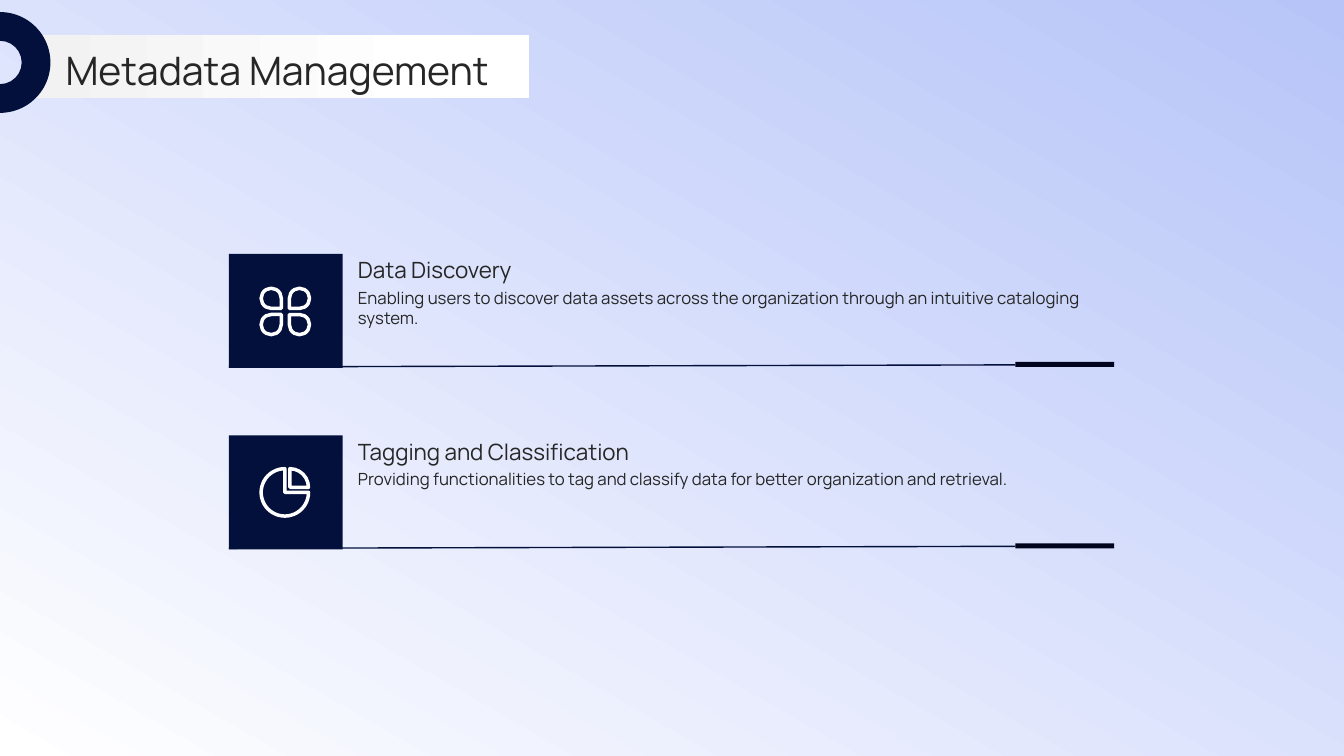
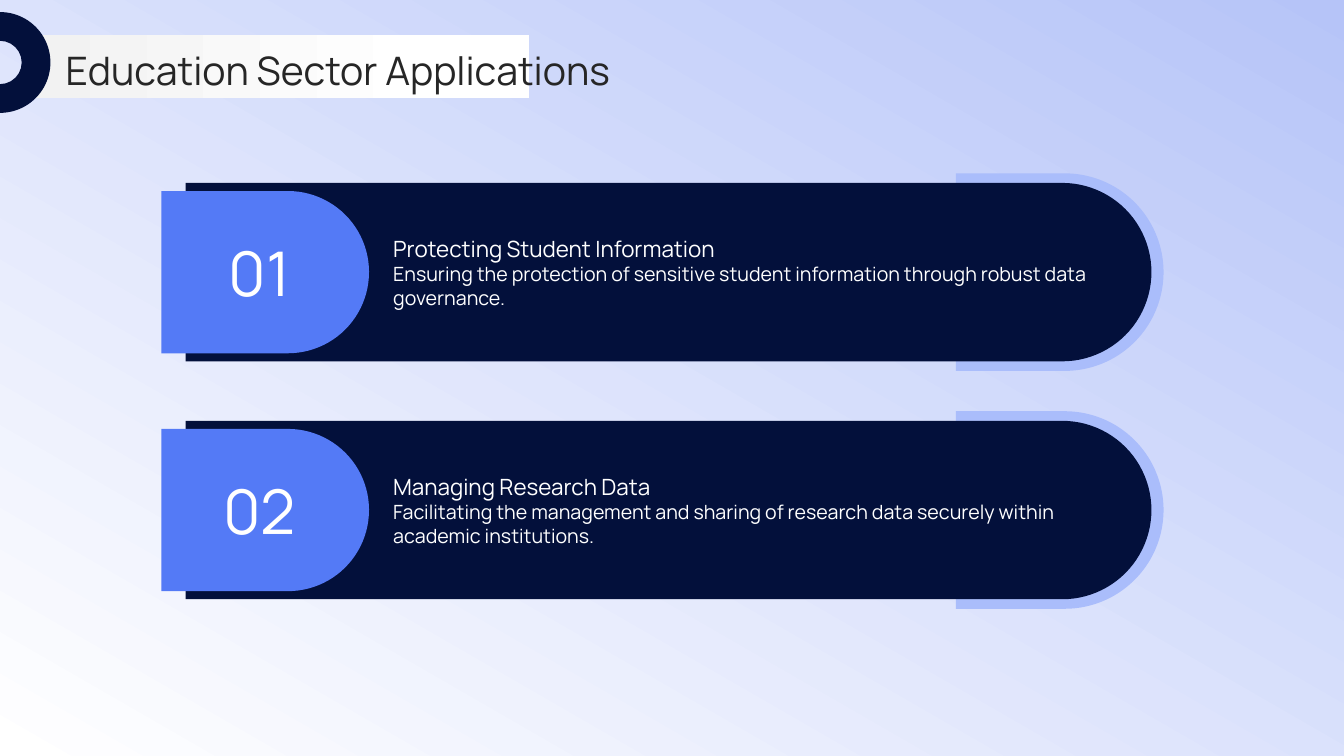
from pptx import Presentation
from pptx.dml.color import RGBColor
from pptx.enum.shapes import MSO_CONNECTOR, MSO_SHAPE
from pptx.enum.text import MSO_ANCHOR, PP_ALIGN
from pptx.oxml.xmlchemy import OxmlElement
from pptx.util import Inches, Pt

RECTANGLE = MSO_SHAPE.RECTANGLE
BLOCK_ARC = MSO_SHAPE.BLOCK_ARC
TEARDROP = MSO_SHAPE.TEAR
PIE = MSO_SHAPE.PIE
CAPSULE = MSO_SHAPE.ROUND_2_SAME_RECTANGLE
STRAIGHT = MSO_CONNECTOR.STRAIGHT
TOP, MIDDLE, BOTTOM = MSO_ANCHOR.TOP, MSO_ANCHOR.MIDDLE, MSO_ANCHOR.BOTTOM
LEFT, CENTER = PP_ALIGN.LEFT, PP_ALIGN.CENTER

FONT = "Manrope"
NAVY = "03103B"
BLACK_BLUE = "00051D"
BLUE = "547AF6"
PALE_BLUE = "AABDFB"
INK = "262626"
WHITE = "FFFFFF"
color = RGBColor.from_string


def add_shape(slide, preset, left, top, width, height, fill, rotation=0, adjustments=()):
    shape = slide.shapes.add_shape(
        preset, Inches(left), Inches(top), Inches(width), Inches(height))
    shape.shadow.inherit = False
    shape.fill.solid()
    shape.fill.fore_color.rgb = color(fill)
    shape.line.fill.background()
    shape.rotation = rotation
    for index, value in enumerate(adjustments):
        shape.adjustments[index] = value
    return shape


def add_text(slide, text, left, top, width, height, size, ink, anchor=TOP, align=LEFT):
    box = slide.shapes.add_textbox(
        Inches(left), Inches(top), Inches(width), Inches(height))
    frame = box.text_frame
    frame.word_wrap = True
    frame.vertical_anchor = anchor
    frame.margin_left = frame.margin_right = frame.margin_top = frame.margin_bottom = 0
    paragraph = frame.paragraphs[0]
    paragraph.text = text
    paragraph.alignment = align
    paragraph.font.name = FONT
    paragraph.font.size = Pt(size)
    paragraph.font.color.rgb = color(ink)


presentation = Presentation()
presentation.slide_width = Inches(13.33)
presentation.slide_height = Inches(7.5)

background = presentation.slide_master.background.fill
background.gradient()
background.gradient_angle = 240
background.gradient_stops[0].color.rgb = color("B6C4F8")
background.gradient_stops[1].color.rgb = color(WHITE)

slides = []
for title in ("Metadata Management", "Education Sector Applications"):
    slide = presentation.slides.add_slide(presentation.slide_layouts[6])
    band = add_shape(slide, RECTANGLE, 0.33, 0.35, 4.92, 0.62, WHITE)
    band.fill.gradient()
    band.fill.gradient_angle = 0
    first_stop, last_stop = band.fill.gradient_stops
    first_stop.color.rgb = color("F2F2F2")
    last_stop.color.rgb = color(WHITE)
    last_stop.position = 0.8
    add_text(slide, title, 0.65, 0.44, 11.88, 0.51, 28, INK, MIDDLE)
    add_shape(slide, BLOCK_ARC, -0.5, 0.12, 1, 1, NAVY, 90, (108, 0, 0.285))
    slides.append(slide)
metadata_slide, education_slide = slides

petals = [
    (TEARDROP, 0.32, 0.34, 0.2, 90, ()),
    (TEARDROP, 0.6, 0.34, 0.2, 180, ()),
    (TEARDROP, 0.32, 0.6, 0.2, 0, ()),
    (TEARDROP, 0.6, 0.6, 0.2, 270, ()),
]
pie_chart = [
    (PIE, 0.32, 0.33, 0.47, 0, (0, 162)),
    (PIE, 0.42, 0.33, 0.37, 0, (162, 0)),
]
features = [
    ("Data Discovery",
     "Enabling users to discover data assets across the organization through an "
     "intuitive cataloging system.", petals),
    ("Tagging and Classification",
     "Providing functionalities to tag and classify data for better organization "
     "and retrieval.", pie_chart),
]
tile_left = 2.27
for row, (heading, description, icon) in enumerate(features):
    tile_top = 2.52 + row * 1.8
    add_shape(metadata_slide, RECTANGLE, tile_left, tile_top, 1.13, 1.13, NAVY)
    for preset, left, top, size, rotation, adjustments in icon:
        part = add_shape(metadata_slide, preset, tile_left + left, tile_top + top,
                         size, size, NAVY, rotation, adjustments)
        part.line.color.rgb = color(WHITE)
        part.line.width = Pt(2.5)
    rule = metadata_slide.shapes.add_connector(
        STRAIGHT, Inches(tile_left), Inches(tile_top + 1.12),
        Inches(10.07), Inches(tile_top + 1.1))
    rule.line.color.rgb = color(NAVY)
    rule.line.width = Pt(1)
    rule._element.spPr.append(OxmlElement("a:effectLst"))
    add_shape(metadata_slide, RECTANGLE, 10.07, tile_top + 1.07, 0.98, 0.05, BLACK_BLUE)
    add_text(metadata_slide, heading, 3.55, tile_top - 0.02, 7.51, 0.31, 16, INK, BOTTOM)
    add_text(metadata_slide, description, 3.55, tile_top + 0.33, 7.51, 0.64, 12, INK)

applications = [
    ("Protecting Student Information",
     "Ensuring the protection of sensitive student information through robust data "
     "governance."),
    ("Managing Research Data",
     "Facilitating the management and sharing of research data securely within "
     "academic institutions."),
]
capsules = [
    (10.51, 2.06, 1.96, PALE_BLUE),
    (6.63, 9.58, 1.77, NAVY),
    (2.63, 2.06, 1.61, BLUE),
]
for row, (heading, description) in enumerate(applications):
    middle = 2.7 + row * 2.36
    for center, length, thickness, fill in capsules:
        add_shape(education_slide, CAPSULE, center - thickness / 2, middle - length / 2,
                  thickness, length, fill, 90, (0.5, 0))
    add_text(education_slide, f"{row + 1:02}", 2.07, middle - 0.44, 1.01, 0.88,
             44, WHITE, MIDDLE, CENTER)
    add_text(education_slide, heading, 3.9, middle - 0.57, 7.11, 0.47, 16, WHITE, BOTTOM)
    add_text(education_slide, description, 3.9, middle - 0.1, 7.11, 0.86, 14, WHITE)

presentation.save("out.pptx")
